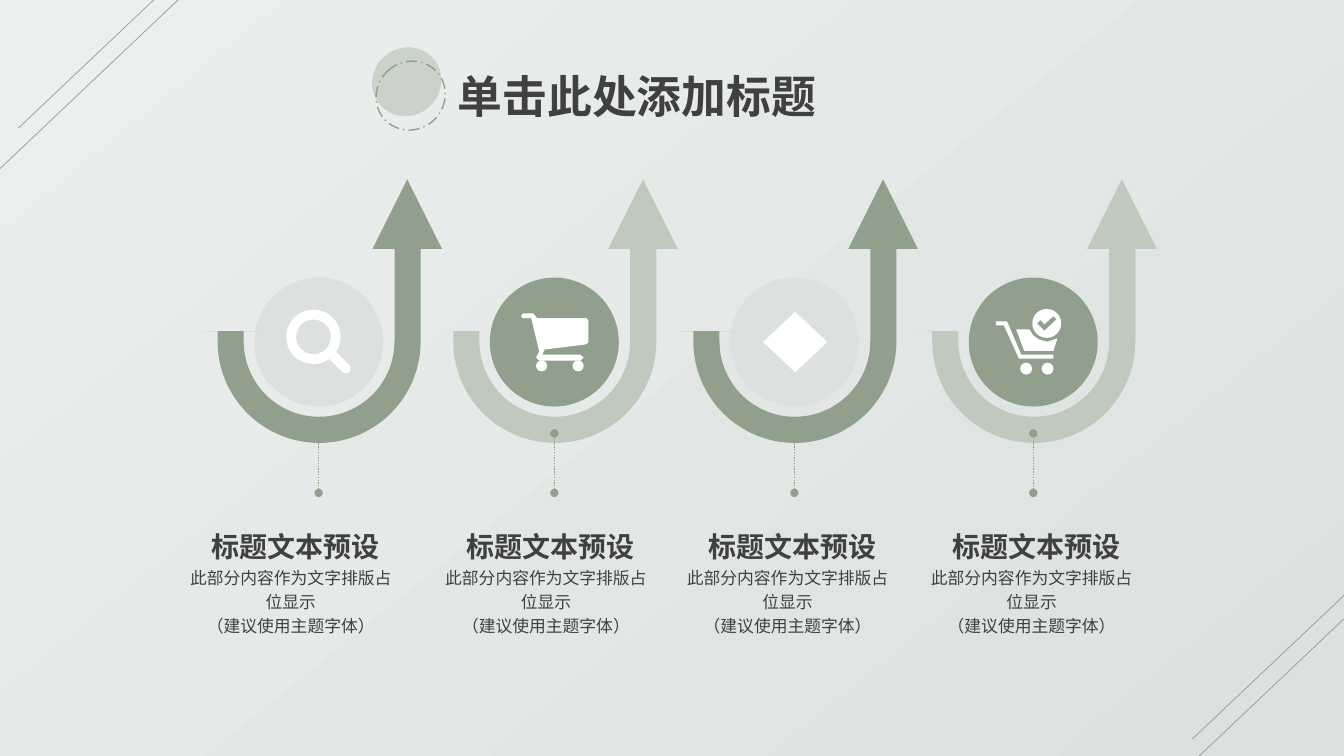
import pptx
import pptx.util
import pptx.dml.color
import pptx.enum.dml
import pptx.enum.shapes
import pptx.enum.text
import pptx.oxml.ns
from lxml import etree

Cm, Pt = pptx.util.Cm, pptx.util.Pt
RGBColor = pptx.dml.color.RGBColor
SHAPE = pptx.enum.shapes.MSO_SHAPE
DASH = pptx.enum.dml.MSO_LINE
ALIGN = pptx.enum.text.PP_ALIGN
ANCHOR = pptx.enum.text.MSO_ANCHOR
qn = pptx.oxml.ns.qn

# Content
TITLE = "单击此处添加标题"
LABEL = "标题文本预设"
BODY = ["此部分内容作为文字排版占位显示", "（建议使用主题字体）"]
FONT = "Noto Sans CJK SC"

GREEN = RGBColor(0x90, 0xA0, 0x8D)
PALE_GREEN = RGBColor(0xC0, 0xC9, 0xBE)
GREY = RGBColor(0xDC, 0xE0, 0xDE)
LIGHT = RGBColor(0xEB, 0xF0, 0xEF)
TEXT = RGBColor(0x40, 0x40, 0x40)
WHITE = RGBColor(0xFF, 0xFF, 0xFF)

# Icon parts, in cm from the middle of the disc:
# preset shapes as (shape, x, y, width, height, rotation, adjustment),
# outlines as (points, colour)
SEARCH = {"presets": [(SHAPE.DONUT, -0.13, -0.13, 1.37, 1.37, 0, 0.18),
                      (SHAPE.ROUNDED_RECTANGLE, 0.5, 0.48, 0.78, 0.25, 45, 0.5)]}
CART = {
    "presets": [(SHAPE.OVAL, x, 0.6, 0.28, 0.28, 0, None) for x in (-0.32, 0.6)],
    "outlines": [([(-0.79, -0.72), (-0.53, -0.72), (-0.43, -0.6), (0.81, -0.6),
                   (0.86, -0.55), (0.86, 0.01), (0.79, 0.06), (-0.25, 0.19),
                   (-0.3, 0.32), (0.66, 0.32), (0.74, 0.39), (0.66, 0.47),
                   (-0.38, 0.47), (-0.46, 0.39), (-0.38, 0.24), (-0.58, -0.6),
                   (-0.79, -0.6), (-0.84, -0.65)], WHITE)],
}
DIAMOND = {"presets": [(SHAPE.DIAMOND, 0.02, 0, 1.62, 1.52, 0, None)]}
CHECKED_CART = {
    "presets": [(SHAPE.OVAL, -0.18, 0.67, 0.3, 0.3, 0, None),
                (SHAPE.OVAL, 0.36, 0.67, 0.3, 0.3, 0, None),
                (SHAPE.OVAL, 0.34, -0.47, 0.73, 0.73, 0, None)],
    "outlines": [
        ([(0.51, 0.42), (-0.36, 0.42), (-0.74, -0.42), (-0.94, -0.42),
          (-0.94, -0.52), (-0.66, -0.52), (-0.3, 0.32), (0.51, 0.32)], WHITE),
        ([(0.36, -0.01), (0.15, -0.06), (0, -0.17), (-0.1, -0.32), (-0.43, -0.32),
          (-0.23, 0.22), (0.51, 0.22), (0.61, -0.09)], WHITE),
        ([(0.28, -0.29), (0.1, -0.47), (0.18, -0.55), (0.28, -0.44),
          (0.51, -0.65), (0.58, -0.57)], GREEN)],
}

# Steps: middle of the disc, left of the text, arrow colour, disc colour, icon
STEPS = [
    (8.03, 4.7, GREEN, GREY, SEARCH),
    (13.97, 11.13, PALE_GREEN, GREEN, CART),
    (20.02, 17.22, GREEN, GREY, DIAMOND),
    (26.04, 23.37, PALE_GREEN, GREEN, CHECKED_CART),
]
DISC_Y, DISC_SIZE = 8.62, 3.25
UTURN_ADJUSTMENTS = (0.121, 0.129, 0, 0.471, 0.518)
CORNER_LINES = [(4.57, -0.08, -0.15, 4.39), (5.18, -1.24, 0.46, 3.23),
                (34.16, 15.32, 29.44, 19.79), (34.75, 14.17, 30.05, 18.62)]

deck = pptx.Presentation()
deck.slide_width, deck.slide_height = Cm(33.87), Cm(19.05)
page = deck.slides.add_slide(deck.slide_layouts[5])


def paint(shape, colour):
    shape.shadow.inherit = False
    shape.fill.solid()
    shape.fill.fore_color.rgb = colour
    shape.line.fill.background()


def add_preset(kind, left, top, width, height, colour, rotation=0, adjustments=()):
    shape = page.shapes.add_shape(kind, Cm(left), Cm(top), Cm(width), Cm(height))
    shape.rotation = rotation
    for index, value in enumerate(adjustments):
        shape.adjustments[index] = value
    paint(shape, colour)
    return shape


def add_outline(points, centre_x, centre_y, colour):
    corners = [(Cm(centre_x + x), Cm(centre_y + y)) for x, y in points]
    builder = page.shapes.build_freeform(*corners[0])
    builder.add_line_segments(corners[1:], close=True)
    paint(builder.convert_to_shape(), colour)


def add_line(start_x, start_y, end_x, end_y, width, dash=None, oval_ends=False):
    line = page.shapes.add_connector(pptx.enum.shapes.MSO_CONNECTOR.STRAIGHT,
                                     Cm(start_x), Cm(start_y), Cm(end_x), Cm(end_y))
    line.line.color.rgb = GREEN
    line.line.width = Pt(width)
    if dash:
        line.line.dash_style = dash
    if oval_ends:
        for end in ("a:headEnd", "a:tailEnd"):
            etree.SubElement(line.line._get_or_add_ln(), qn(end), type="oval")
    etree.SubElement(line.element.spPr, qn("a:effectLst"))


def write(box, lines, size, bold, paragraph_format, frame_format):
    frame = box.text_frame
    for name, value in frame_format.items():
        setattr(frame, name, value)
    para = frame.paragraphs[0]
    for name, value in paragraph_format.items():
        setattr(para, name, value)
    for index, line in enumerate(lines):
        if index:
            para.add_line_break()
        span = para.add_run()
        span.text = line
        for name, value in {"size": Pt(size), "bold": bold, "name": FONT}.items():
            setattr(span.font, name, value)
        span.font.color.rgb = TEXT
        etree.SubElement(span.font._element, qn("a:ea"), typeface=FONT)


# Background
backdrop = page.background.fill
backdrop.gradient()
backdrop.gradient_angle = 309
for stop, colour, position in zip(backdrop.gradient_stops, (LIGHT, GREY), (0, 1)):
    stop.color.rgb = colour
    stop.position = position

# Corner lines
for ends in CORNER_LINES:
    add_line(*ends, width=0.5)

# Title with its two rings
title = page.shapes.title
title.left, title.top, title.width, title.height = Cm(11.28), Cm(1.6), Cm(12.57), Cm(1.63)
write(title, [TITLE], 32, True, {"alignment": ALIGN.JUSTIFY},
      {"vertical_anchor": ANCHOR.TOP, "word_wrap": True,
       "auto_size": pptx.enum.text.MSO_AUTO_SIZE.NONE})
spot = add_preset(SHAPE.OVAL, 9.4, 1.17, 1.7, 1.78, PALE_GREEN, 47)
etree.SubElement(spot.element.spPr.find(".//" + qn("a:srgbClr")), qn("a:alpha"), val="74000")
ring = add_preset(SHAPE.OVAL, 9.5, 1.52, 1.7, 1.78, PALE_GREEN, 47)
ring.fill.background()
ring.line.color.rgb = GREEN
ring.line.width = Pt(1)
ring.line.dash_style = DASH.LONG_DASH_DOT

# Steps
NO_MARGINS = dict.fromkeys(("margin_left", "margin_right", "margin_top", "margin_bottom"), 0)
for centre, text_left, arrow_colour, disc_colour, icon in STEPS:
    add_preset(SHAPE.OVAL, centre - DISC_SIZE / 2, DISC_Y - DISC_SIZE / 2,
               DISC_SIZE, DISC_SIZE, disc_colour)
    for kind, x, y, width, height, rotation, adjustment in icon["presets"]:
        add_preset(kind, centre + x - width / 2, DISC_Y + y - height / 2, width, height,
                   WHITE, rotation, () if adjustment is None else (adjustment,))
    for points, colour in icon.get("outlines", []):
        add_outline(points, centre, DISC_Y, colour)

    add_preset(SHAPE.U_TURN_ARROW, centre - 2.92, 5.72, 5.49, 5.44, arrow_colour,
               180, UTURN_ADJUSTMENTS)
    add_preset(SHAPE.ISOSCELES_TRIANGLE, centre + 1.36, 4.52, 1.75, 1.75, arrow_colour)
    add_line(centre, 12.42, centre, 10.92, 1, DASH.ROUND_DOT, oval_ends=True)

    label = page.shapes.add_textbox(Cm(text_left), Cm(13.03), Cm(5.51), Cm(1.17))
    write(label, [LABEL], 20, True, {"alignment": ALIGN.CENTER},
          {**NO_MARGINS, "word_wrap": False, "vertical_anchor": ANCHOR.BOTTOM})
    body = page.shapes.add_textbox(Cm(text_left), Cm(14.2), Cm(5.26), Cm(0.81))
    write(body, BODY, 12, False, {"alignment": ALIGN.CENTER, "line_spacing": 1.2},
          {**NO_MARGINS, "word_wrap": True, "vertical_anchor": ANCHOR.TOP})

deck.save("out.pptx")
